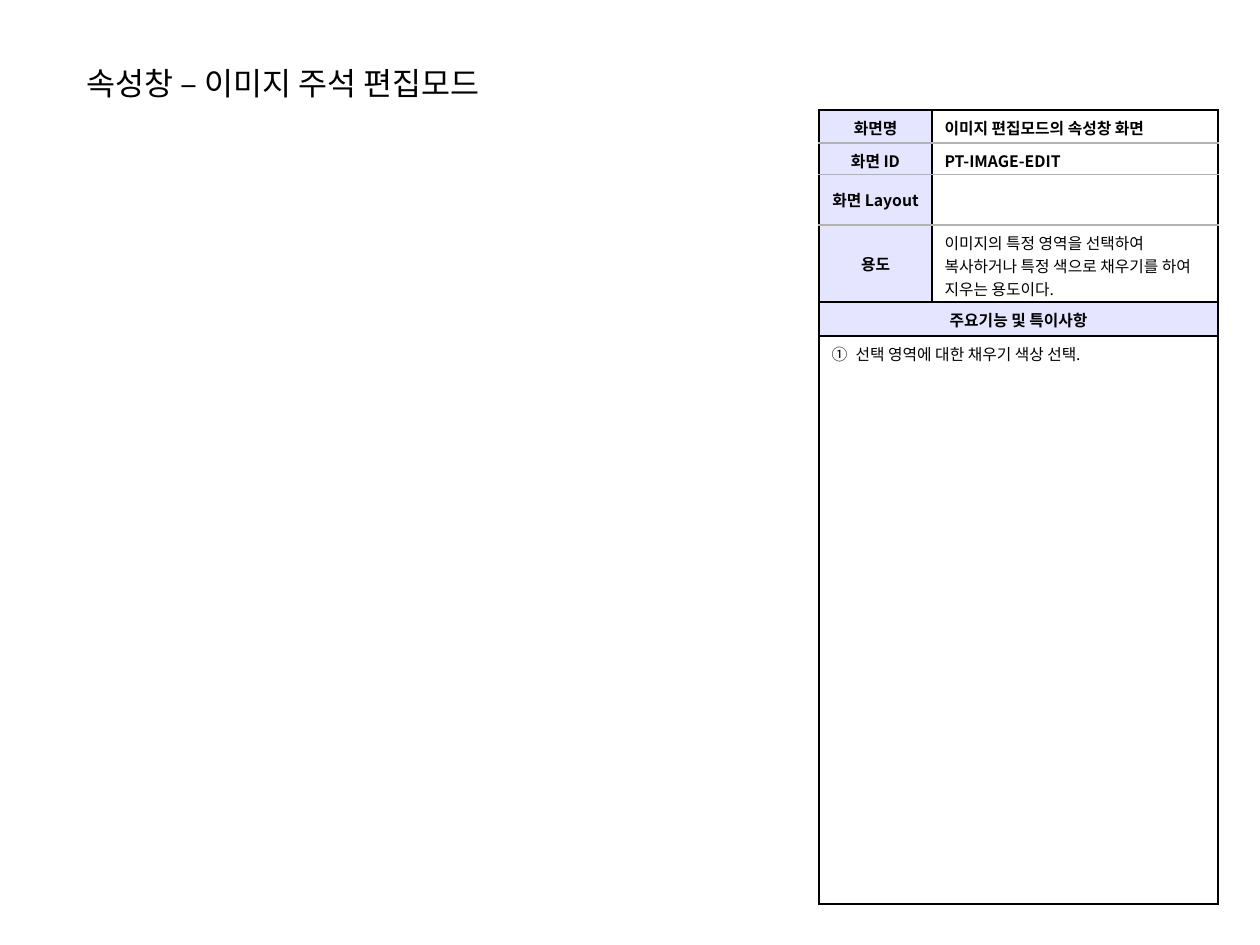
from lxml.etree import SubElement
from pptx import Presentation
from pptx.dml.color import RGBColor
from pptx.enum.text import MSO_ANCHOR, MSO_AUTO_SIZE, PP_ALIGN
from pptx.oxml import parse_xml
from pptx.oxml.ns import nsdecls, qn
from pptx.util import Emu, Pt

PX = 914400 // 126
FONT = "Noto Sans CJK KR"
BLACK = RGBColor(0x00, 0x00, 0x00)
WHITE = RGBColor(0xFF, 0xFF, 0xFF)
GRAY = RGBColor(0xB2, 0xB2, 0xB2)
LAVENDER = RGBColor(0xCC, 0xCC, 0xFF)


def style_text(para, size, bold=False, align=PP_ALIGN.LEFT):
    para.alignment = align
    for font in [para.font] + [span.font for span in para.runs]:
        font.name, font.size, font.bold = FONT, Pt(size), bold
        font.color.rgb = BLACK
        SubElement(font._element, qn("a:ea"), typeface=FONT)


def set_borders(cell, left, right, top, bottom):
    """Each side is a (colour, points) pair."""
    sides = zip(("lnL", "lnR", "lnT", "lnB"), (left, right, top, bottom))
    for index, (tag, (color, width)) in enumerate(sides):
        cell._tc.get_or_add_tcPr().insert(index, parse_xml(
            f'<a:{tag} {nsdecls("a")} w="{Pt(width)}"><a:solidFill>'
            f'<a:srgbClr val="{color}"/></a:solidFill></a:{tag}>'))


deck = Presentation()
deck.slide_width, deck.slide_height = Emu(1260 * PX), Emu(945 * PX)
page = deck.slides.add_slide(deck.slide_layouts[5])

title = page.shapes.title
title.left, title.top, title.width, title.height = [Emu(n * PX) for n in (74, 58, 469, 50)]
title.text_frame.text = "속성창 – 이미지 주석 편집모드"
title.text_frame.word_wrap = False
title.text_frame.auto_size = MSO_AUTO_SIZE.SHAPE_TO_FIT_TEXT
title.text_frame.vertical_anchor = MSO_ANCHOR.TOP
style_text(title.text_frame.paragraphs[0], 18)

# label, content, content is bold
ROWS = [
    ("화면명", "이미지 편집모드의 속성창 화면", True),
    ("화면 ID", "PT-IMAGE-EDIT", True),
    ("화면 Layout", "", False),
    ("용도", "이미지의 특정 영역을 선택하여 복사하거나 특정 색으로 채우기를 하여 지우는 용도이다.", False),
    ("주요기능 및 특이사항", None, False),
    ("선택 영역에 대한 채우기 색상 선택.", None, False),
]
COLUMN_WIDTHS = (113, 286)
ROW_HEIGHTS = (33, 31, 48, 77, 34, 568)
HEADING_ROW, LIST_ROW = 4, 5

frame = page.shapes.add_table(
    len(ROWS), 2, Emu(819 * PX), Emu(110 * PX),
    Emu(sum(COLUMN_WIDTHS) * PX), Emu(sum(ROW_HEIGHTS) * PX))
table = frame.table
table.first_row = table.horz_banding = False
for column, width in zip(table.columns, COLUMN_WIDTHS):
    column.width = Emu(width * PX)
for row, height in zip(table.rows, ROW_HEIGHTS):
    row.height = Emu(height * PX)

outer, divider, soft = (BLACK, 1), (BLACK, 0.75), (GRAY, 1)
for r, (label, content, content_bold) in enumerate(ROWS):
    merged = r >= HEADING_ROW
    if merged:
        table.cell(r, 0).merge(table.cell(r, 1))
    top = outer if r == 0 or merged else soft
    bottom = outer if r >= HEADING_ROW - 1 else soft
    for c, text in enumerate((label, content)):
        cell = table.cell(r, c)
        set_borders(cell, outer if c == 0 or merged else divider,
                    outer if c == 1 or merged else divider, top, bottom)
        if text is None:
            continue
        is_label = c == 0 and r != LIST_ROW
        cell.text = text
        cell.vertical_anchor = MSO_ANCHOR.TOP if r == LIST_ROW else MSO_ANCHOR.MIDDLE
        style_text(cell.text_frame.paragraphs[0], 9, is_label or content_bold,
                   PP_ALIGN.CENTER if is_label else PP_ALIGN.LEFT)
        if is_label:
            cell.fill.solid()
            cell.fill.fore_color.rgb = LAVENDER
            color = cell._tc.tcPr.find(qn("a:solidFill")).find(qn("a:srgbClr"))
            SubElement(color, qn("a:alpha"), val="50000")
        elif r == LIST_ROW:
            cell.fill.solid()
            cell.fill.fore_color.rgb = WHITE
        else:
            cell.fill.background()

props = table.cell(LIST_ROW, 0).text_frame.paragraphs[0]._p.get_or_add_pPr()
props.set("marL", str(24 * PX))
props.set("indent", str(-24 * PX))
props.insert(0, parse_xml(f'<a:buAutoNum {nsdecls("a")} type="circleNumDbPlain"/>'))

deck.save("out.pptx")
